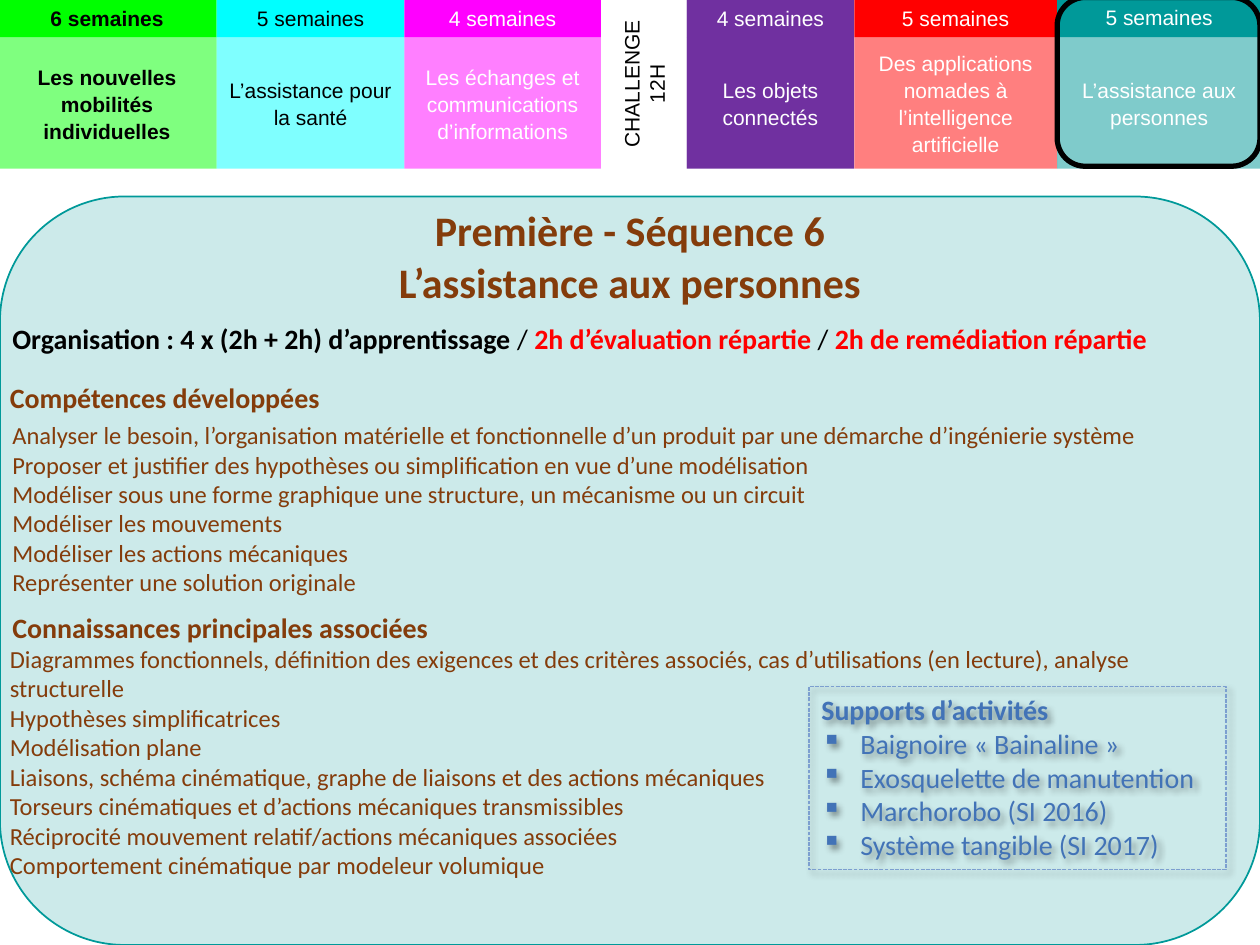
import pptx
import pptx.util
import pptx.dml.color
import pptx.enum.dml
import pptx.enum.shapes
import pptx.enum.text
import pptx.oxml
import pptx.oxml.ns

RGBColor = pptx.dml.color.RGBColor
Shape = pptx.enum.shapes.MSO_SHAPE
Anchor = pptx.enum.text.MSO_ANCHOR
Align = pptx.enum.text.PP_ALIGN
Pt = pptx.util.Pt
qn = pptx.oxml.ns.qn

BLACK = RGBColor(0, 0, 0)
WHITE = RGBColor(0xFF, 0xFF, 0xFF)
RED = RGBColor(0xFF, 0, 0)
GREEN = RGBColor(0, 0xFF, 0)
CYAN = RGBColor(0, 0xFF, 0xFF)
MAGENTA = RGBColor(0xFF, 0, 0xFF)
PURPLE = RGBColor(0x70, 0x30, 0xA0)
TEAL = RGBColor(0, 0x99, 0x99)
BROWN = RGBColor(0x84, 0x3C, 0x0B)
BLUE = RGBColor(0x42, 0x73, 0xB7)
LIGHT_BLUE = RGBColor(0x7C, 0x9F, 0xD0)

COLS, ROWS = 100, 75

TITLE = dict(name="Calibri", size=Pt(24), bold=True, color=BROWN)
HEADING = dict(TITLE, size=Pt(16))
BODY = dict(TITLE, size=Pt(14), bold=False)
SUPPORT = dict(HEADING, bold=False, color=BLUE)
CELL = dict(name="Arial", size=Pt(12), bold=False, color=WHITE)

# left column, right column, duration, theme, fill, opacity of theme cell, text format
SEQUENCES = [
    (-0.2, 17.2, "6 semaines", "Les nouvelles mobilités individuelles",
     GREEN, 50, dict(CELL, color=BLACK, bold=True)),
    (17.2, 32.1, "5 semaines", "L’assistance pour la santé", CYAN, 50, dict(CELL, color=BLACK)),
    (32.1, 47.7, "4 semaines", "Les échanges et communications d’informations",
     MAGENTA, 50, CELL),
    (54.5, 67.8, "4 semaines", "Les objets connectés", PURPLE, 100, CELL),
    (67.8, 83.9, "5 semaines", "Des applications nomades à l’intelligence artificielle",
     RED, 50, CELL),
    (83.9, 100.1, "5 semaines", "L’assistance aux personnes", TEAL, 50, CELL),
]
SKILLS = [
    "Analyser le besoin, l’organisation matérielle et fonctionnelle d’un produit "
    "par une démarche d’ingénierie système",
    "Proposer et justifier des hypothèses ou simplification en vue d’une modélisation",
    "Modéliser sous une forme graphique une structure, un mécanisme ou un circuit",
    "Modéliser les mouvements",
    "Modéliser les actions mécaniques",
    "Représenter une solution originale",
]
KNOWLEDGE = [
    "Diagrammes fonctionnels, définition des exigences et des critères associés, "
    "cas d’utilisations (en lecture), analyse structurelle",
    "Hypothèses simplificatrices",
    "Modélisation plane",
    "Liaisons, schéma cinématique, graphe de liaisons et des actions mécaniques",
    "Torseurs cinématiques et d’actions mécaniques transmissibles",
    "Réciprocité mouvement relatif/actions mécaniques associées",
    "Comportement cinématique par modeleur volumique",
]
SUPPORTS = [
    "Baignoire « Bainaline »",
    "Exosquelette de manutention",
    "Marchorobo (SI 2016)",
    "Système tangible (SI 2017)",
]


class SlideBuilder:
    """Places elements on a grid of COLS by ROWS cells."""

    def __init__(self, prs):
        self.slide = prs.slides.add_slide(prs.slide_layouts[6])
        self.cell_w = prs.slide_width / COLS
        self.cell_h = prs.slide_height / ROWS

    def place(self, col, row, cols, rows):
        return [round(v) for v in (col * self.cell_w, row * self.cell_h,
                                   cols * self.cell_w, rows * self.cell_h)]

    def shape(self, kind, box, fill=None, opacity=100, line=None, width=1):
        sp = self.slide.shapes.add_shape(kind, *self.place(*box))
        sp.shadow.inherit = False
        if fill is None:
            sp.fill.background()
        else:
            sp.fill.solid()
            sp.fill.fore_color.rgb = fill
            if opacity < 100:
                color = sp._element.spPr.find(qn("a:solidFill"))[0]
                color.append(pptx.oxml.parse_xml(
                    f'<a:alpha {pptx.oxml.ns.nsdecls("a")} val="{opacity * 1000}"/>'))
        if line is None:
            sp.line.fill.background()
        else:
            sp.line.color.rgb = line
            sp.line.width = Pt(width)
        return sp

    def text(self, box, paragraphs, **layout):
        sp = self.slide.shapes.add_textbox(*self.place(*box))
        self.fill_text(sp, paragraphs, **layout)

    def fill_text(self, sp, paragraphs, anchor=Anchor.TOP, align=Align.LEFT, spacing=None):
        """Fill a shape with paragraphs, each a list of (text, format) runs."""
        tf = sp.text_frame
        tf.word_wrap = True
        tf.vertical_anchor = anchor
        for i, runs in enumerate(paragraphs):
            p = tf.add_paragraph() if i else tf.paragraphs[0]
            p.alignment = align
            if spacing:
                p.line_spacing = spacing
            for words, style in runs:
                r = p.add_run()
                r.text = words
                for key, value in style.items():
                    if key == "color":
                        r.font.color.rgb = value
                    else:
                        setattr(r.font, key, value)
        return tf

    def cell(self, box, words, style, fill, opacity=100, anchor=Anchor.MIDDLE, spacing=None):
        sp = self.shape(Shape.RECTANGLE, box, fill, opacity)
        return self.fill_text(sp, [[(words, style)]], anchor, Align.CENTER, spacing)

    def bullet(self, p, char="▪", indent=0.31):
        pPr = p._p.get_or_add_pPr()
        pPr.set("marL", str(pptx.util.Inches(indent)))
        pPr.set("indent", str(-pptx.util.Inches(indent)))
        pPr.append(pptx.oxml.parse_xml(
            f'<a:buChar {pptx.oxml.ns.nsdecls("a")} char="{char}"/>'))

    def drop_shadow(self, sp):
        spPr = sp._element.spPr
        spPr.find(qn("a:effectLst")).append(pptx.oxml.parse_xml(
            f'<a:outerShdw {pptx.oxml.ns.nsdecls("a")} blurRad="{Pt(4)}" dist="{Pt(3)}" '
            'dir="2700000" algn="tl" rotWithShape="0"><a:srgbClr val="000000">'
            '<a:alpha val="40000"/></a:srgbClr></a:outerShdw>'))


def add_timeline(s):
    for left, right, duration, theme, fill, opacity, style in SEQUENCES:
        last = right > COLS
        s.cell((left, 2.95, right - left, 10.45), theme, style, fill, opacity, spacing=1.07)
        s.cell((left, -0.15, right - left, 3.1), duration, style, fill,
               anchor=Anchor.TOP if last else Anchor.MIDDLE)
    tf = s.cell((47.7, -0.1, 6.8, 13.5), "CHALLENGE 12H", dict(CELL, color=BLACK), WHITE, 50)
    tf._txBody.bodyPr.set("vert", "vert270")
    s.shape(Shape.ROUNDED_RECTANGLE, (83.9, -0.2, 16.1, 13.4), line=BLACK, width=3)


def add_sequence(s):
    s.shape(Shape.ROUNDED_RECTANGLE, (0, 15.6, 100, 59.4), TEAL, 20, TEAL)
    s.text((0, 15.6, 100, 9.4),
           [[("Première - Séquence 6", TITLE)], [("L’assistance aux personnes", TITLE)]],
           align=Align.CENTER, spacing=1.03)
    black, red = dict(HEADING, color=BLACK), dict(HEADING, color=RED)
    slash = ("/ ", dict(black, bold=False))
    s.text((0, 25, 100, 3.7),
           [[("Organisation : 4 x (2h + 2h) d’apprentissage ", black), slash,
             ("2h d’évaluation répartie ", red), slash,
             ("2h de remédiation répartie", red)]], anchor=Anchor.MIDDLE)
    s.text((-0.2, 29.7, 100, 3.7), [[("Compétences développées", HEADING)]])
    s.text((0, 32.8, 100, 15.1), [[(t, BODY)] for t in SKILLS], anchor=Anchor.MIDDLE)
    s.text((0, 48, 100, 3.7), [[("Connaissances principales associées", HEADING)]])
    s.text((-0.2, 50.5, 100, 19.9), [[(t, BODY)] for t in KNOWLEDGE], anchor=Anchor.MIDDLE)


def add_supports(s):
    sp = s.shape(Shape.RECTANGLE, (64.2, 54.5, 33.1, 14.5), line=LIGHT_BLUE, width=0.75)
    sp.line.dash_style = pptx.enum.dml.MSO_LINE.SQUARE_DOT
    s.drop_shadow(sp)
    tf = s.fill_text(sp, [[("Supports d’activités", dict(SUPPORT, bold=True))]]
                     + [[(t, SUPPORT)] for t in SUPPORTS])
    for p in tf.paragraphs[1:]:
        s.bullet(p)


def main():
    prs = pptx.Presentation()
    prs.slide_width = pptx.util.Inches(10)
    prs.slide_height = pptx.util.Inches(7.5)
    s = SlideBuilder(prs)
    add_sequence(s)
    add_supports(s)
    add_timeline(s)
    prs.save("out.pptx")


if __name__ == "__main__":
    main()
